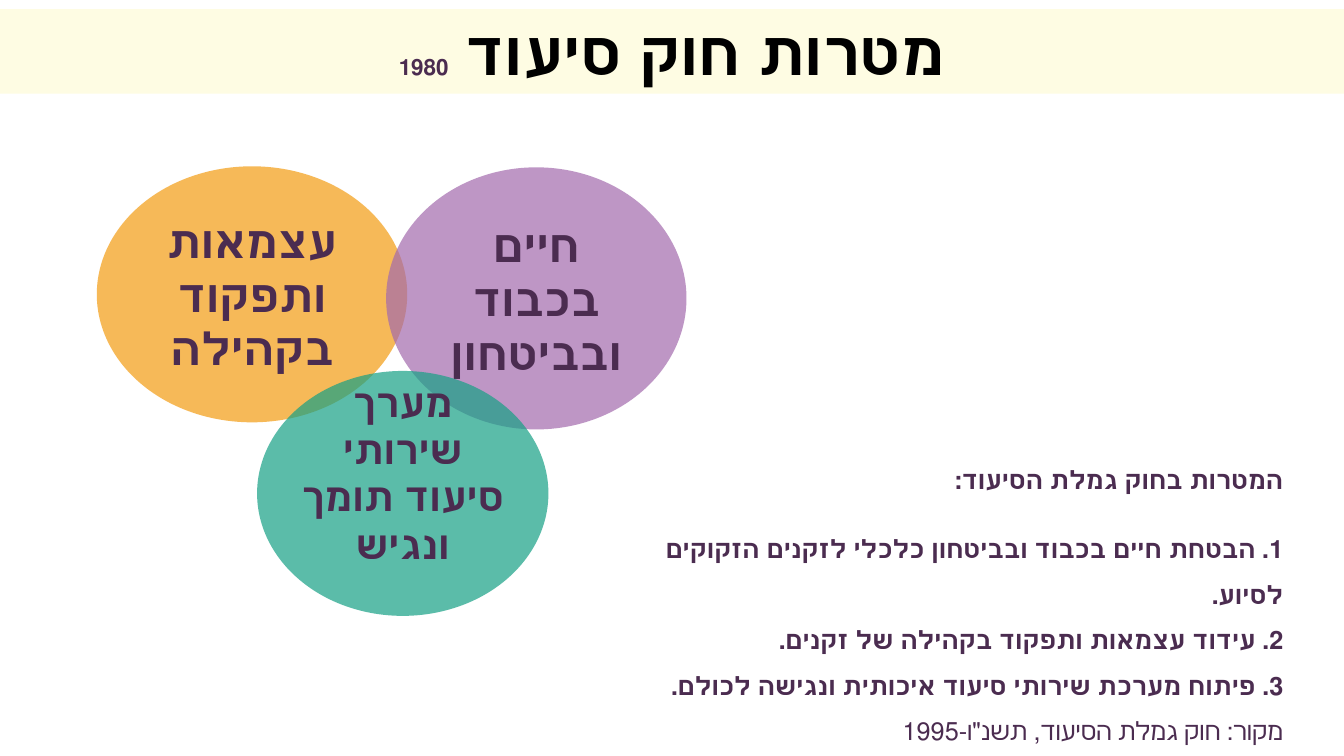
from lxml.etree import SubElement
from pptx import Presentation
from pptx.dml.color import RGBColor
from pptx.enum.shapes import MSO_SHAPE as Preset
from pptx.enum.text import MSO_ANCHOR as Anchor, MSO_AUTO_SIZE as AutoSize, PP_ALIGN as Align
from pptx.oxml.ns import qn
from pptx.util import Inches, Pt

BLACK = RGBColor(0x00, 0x00, 0x00)
PLUM = RGBColor(0x4B, 0x2C, 0x50)
CREAM = RGBColor(0xFE, 0xFC, 0xE3)
ORANGE = RGBColor(0xF3, 0x9C, 0x12)
PURPLE = RGBColor(0xA3, 0x6A, 0xAD)
GREEN = RGBColor(0x16, 0xA0, 0x85)


def write(paragraph, text, size, font="Calibri", color=PLUM, bold=True,
          align=Align.CENTER, rtl=False, line_spacing=None, space_after=None):
    """Add a run to the paragraph and format both."""
    paragraph.alignment = align
    if rtl:
        paragraph._p.get_or_add_pPr().set("rtl", "1")
    if line_spacing:
        paragraph.line_spacing = line_spacing
    if space_after:
        paragraph.space_after = Pt(space_after)
    run = paragraph.add_run()
    run.text = text
    run.font.name = font
    run.font.size = Pt(size)
    run.font.bold = bold
    run.font.color.rgb = color


class GoalsSlide:
    """Places elements by percentages of the slide's width and height."""

    def __init__(self, presentation):
        self.width = presentation.slide_width
        self.height = presentation.slide_height
        self.slide = presentation.slides.add_slide(presentation.slide_layouts[6])

    def place(self, left, top, width, height):
        return (round(self.width * left / 100), round(self.height * top / 100),
                round(self.width * width / 100), round(self.height * height / 100))

    def filled_shape(self, preset, area, color, opacity=100):
        shape = self.slide.shapes.add_shape(preset, *self.place(*area))
        shape.shadow.inherit = False
        shape.line.fill.background()
        shape.fill.solid()
        shape.fill.fore_color.rgb = color
        if opacity < 100:
            color_element = shape._element.spPr.find(qn("a:solidFill"))[0]
            SubElement(color_element, qn("a:alpha"), val=str(opacity * 1000))
        shape.text_frame.word_wrap = True
        return shape

    def title_band(self, area, title, year):
        frame = self.filled_shape(Preset.RECTANGLE, area, CREAM).text_frame
        frame.vertical_anchor = Anchor.TOP
        write(frame.paragraphs[0], title + " ", 44, color=BLACK)
        write(frame.paragraphs[0], year, 16, font="Open Sans")

    def goal_circle(self, area, color, text, size, rtl=False, bottom_inset=0.04):
        frame = self.filled_shape(Preset.OVAL, area, color, opacity=70).text_frame
        frame.vertical_anchor = Anchor.MIDDLE
        frame.margin_left = frame.margin_right = 0
        frame.margin_top = Inches(0.04)
        frame.margin_bottom = Inches(bottom_inset)
        write(frame.paragraphs[0], text, size, rtl=rtl)

    def goal_list(self, area, heading, goals, source):
        frame = self.slide.shapes.add_textbox(*self.place(*area)).text_frame
        frame.word_wrap = True
        frame.auto_size = AutoSize.SHAPE_TO_FIT_TEXT
        style = dict(size=18, align=Align.RIGHT, rtl=True)
        write(frame.paragraphs[0], heading, space_after=17, **style)
        for number, goal in enumerate(goals, start=1):
            write(frame.add_paragraph(), f"{number}. {goal}", line_spacing=1.5, **style)
        write(frame.add_paragraph(), source, bold=False, line_spacing=1.5, **style)


def main():
    presentation = Presentation()
    presentation.slide_width = Inches(13.33)
    presentation.slide_height = Inches(7.5)
    goals = GoalsSlide(presentation)

    goals.title_band((0, 1.2, 100, 11.2), "מטרות חוק סיעוד", "1980")
    goals.goal_circle((7.2, 22, 23.1, 33.87), ORANGE, "עצמאות ותפקוד בקהילה", 32, rtl=True)
    goals.goal_circle((28.73, 22.13, 22.35, 34.67), PURPLE, "חיים בכבוד ובביטחון", 32)
    goals.goal_circle((19.13, 49.07, 21.68, 32.4), GREEN, "מערך שירותי סיעוד תומך ונגיש", 28,
                      bottom_inset=0.45)
    goals.goal_list(
        (47.25, 60.8, 48.97, 32.8),
        "המטרות בחוק גמלת הסיעוד:",
        ["הבטחת חיים בכבוד ובביטחון כלכלי לזקנים הזקוקים לסיוע.",
         "עידוד עצמאות ותפקוד בקהילה של זקנים.",
         "פיתוח מערכת שירותי סיעוד איכותית ונגישה לכולם."],
        "מקור: חוק גמלת הסיעוד, תשנ\"ו-1995")
    presentation.save("out.pptx")


if __name__ == "__main__":
    main()
